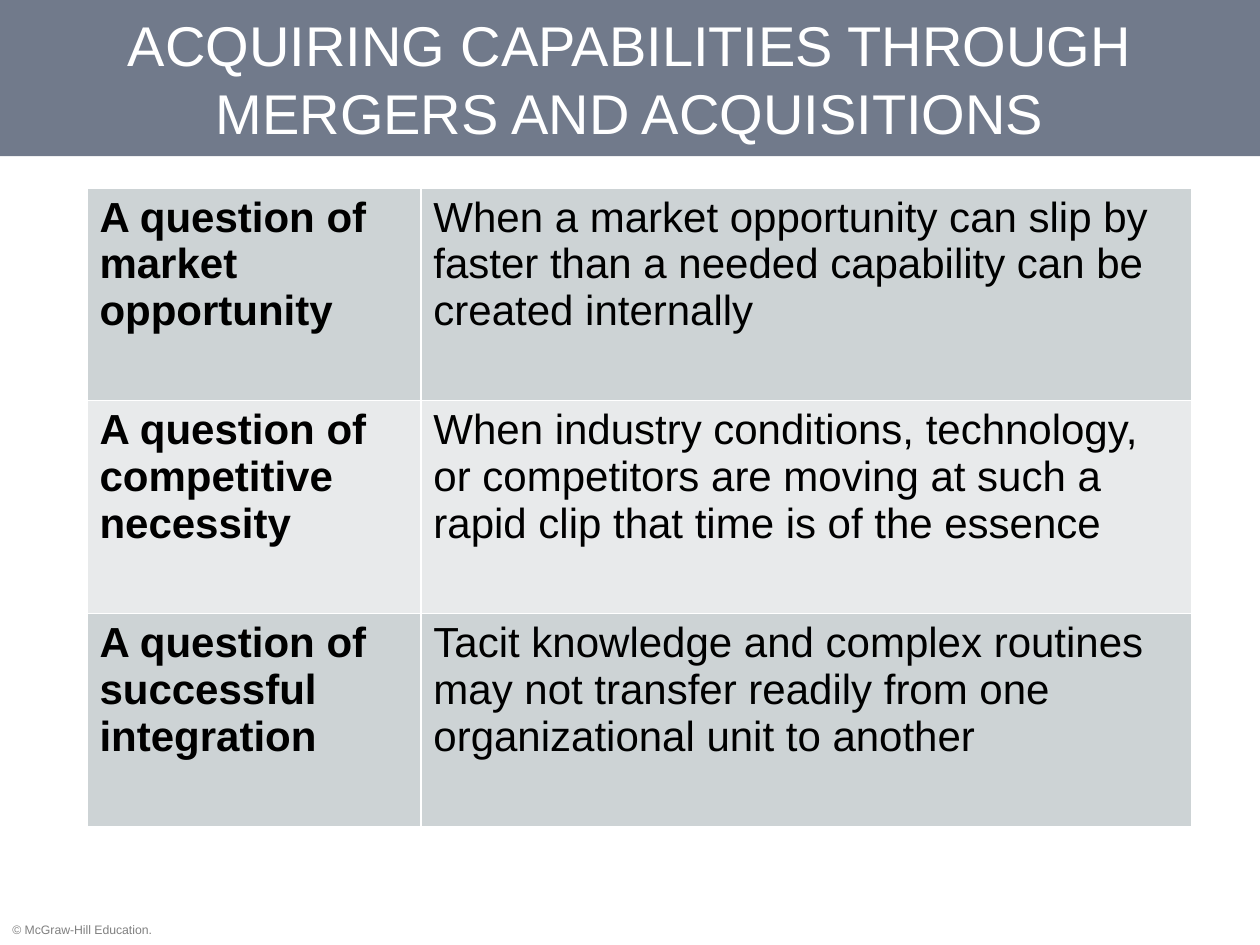
from pptx import Presentation
from pptx.dml.color import RGBColor
from pptx.enum.shapes import MSO_SHAPE as Shape
from pptx.enum.text import MSO_ANCHOR as Anchor, PP_ALIGN as Align
from pptx.util import Inches, Pt

COLORS = {
    "banner": "717A8B",
    "white": "FFFFFF",
    "black": "000000",
    "gray": "808080",
    "dark_band": "CDD3D5",
    "light_band": "E8EAEB",
}
COLUMNS = (2.65, 6.12)
ROW_HEIGHT = 1.69
QUESTIONS = [
    ("A question of\vmarket opportunity",
     "When a market opportunity can slip by faster than a needed capability "
     "can be created internally"),
    ("A question of\vcompetitive necessity",
     "When industry conditions, technology, or competitors are moving at such "
     "a rapid clip that time is of the essence"),
    ("A question of\vsuccessful integration",
     "Tacit knowledge and complex routines may not transfer readily from one "
     "organizational unit to another"),
]


def set_fill(item, color):
    """Give a shape or table cell a solid fill."""
    item.fill.solid()
    item.fill.fore_color.rgb = RGBColor.from_string(COLORS[color])


def write(frame, text, size=24, color="black", bold=False, align=Align.LEFT):
    """Put one formatted paragraph into a text frame."""
    frame.word_wrap = True
    para = frame.paragraphs[0]
    para.text = text
    para.alignment = align
    for span in para.runs:
        span.font.name = "Arial"
        span.font.size = Pt(size)
        span.font.bold = bold
        span.font.color.rgb = RGBColor.from_string(COLORS[color])


def add_banner(page, width, text):
    """Draw the title band across the top of the page."""
    box = page.shapes.add_shape(Shape.RECTANGLE, 0, 0, width, Inches(1.24))
    box.shadow.inherit = False
    set_fill(box, "banner")
    box.line.fill.background()
    box.text_frame.vertical_anchor = Anchor.MIDDLE
    write(box.text_frame, text, size=32, color="white", align=Align.CENTER)


def add_questions(page, left, top):
    """Lay out the questions as a table with alternating bands."""
    table = page.shapes.add_table(
        len(QUESTIONS), len(COLUMNS), Inches(left), Inches(top),
        Inches(sum(COLUMNS)), Inches(ROW_HEIGHT * len(QUESTIONS))).table
    table.first_row = False
    for column, width in zip(table.columns, COLUMNS):
        column.width = Inches(width)
    for index, (row, texts) in enumerate(zip(table.rows, QUESTIONS)):
        row.height = Inches(ROW_HEIGHT)
        for number, (cell, text) in enumerate(zip(row.cells, texts)):
            set_fill(cell, "light_band" if index % 2 else "dark_band")
            write(cell.text_frame, text, bold=number == 0)


def add_copyright(page, text):
    """Place the copyright line in the bottom left corner."""
    box = page.shapes.add_textbox(0, Inches(7.27), Inches(1.35), Inches(0.22))
    write(box.text_frame, text, size=7, color="gray")


def main():
    """Build and save the slide."""
    deck = Presentation()
    deck.slide_width, deck.slide_height = Inches(10), Inches(7.5)
    page = deck.slides.add_slide(deck.slide_layouts[6])
    add_copyright(page, "© McGraw-Hill Education.")
    add_banner(page, deck.slide_width,
               "ACQUIRING CAPABILITIES THROUGH MERGERS AND ACQUISITIONS")
    add_questions(page, left=0.69, top=1.49)
    deck.save("out.pptx")


if __name__ == "__main__":
    main()
